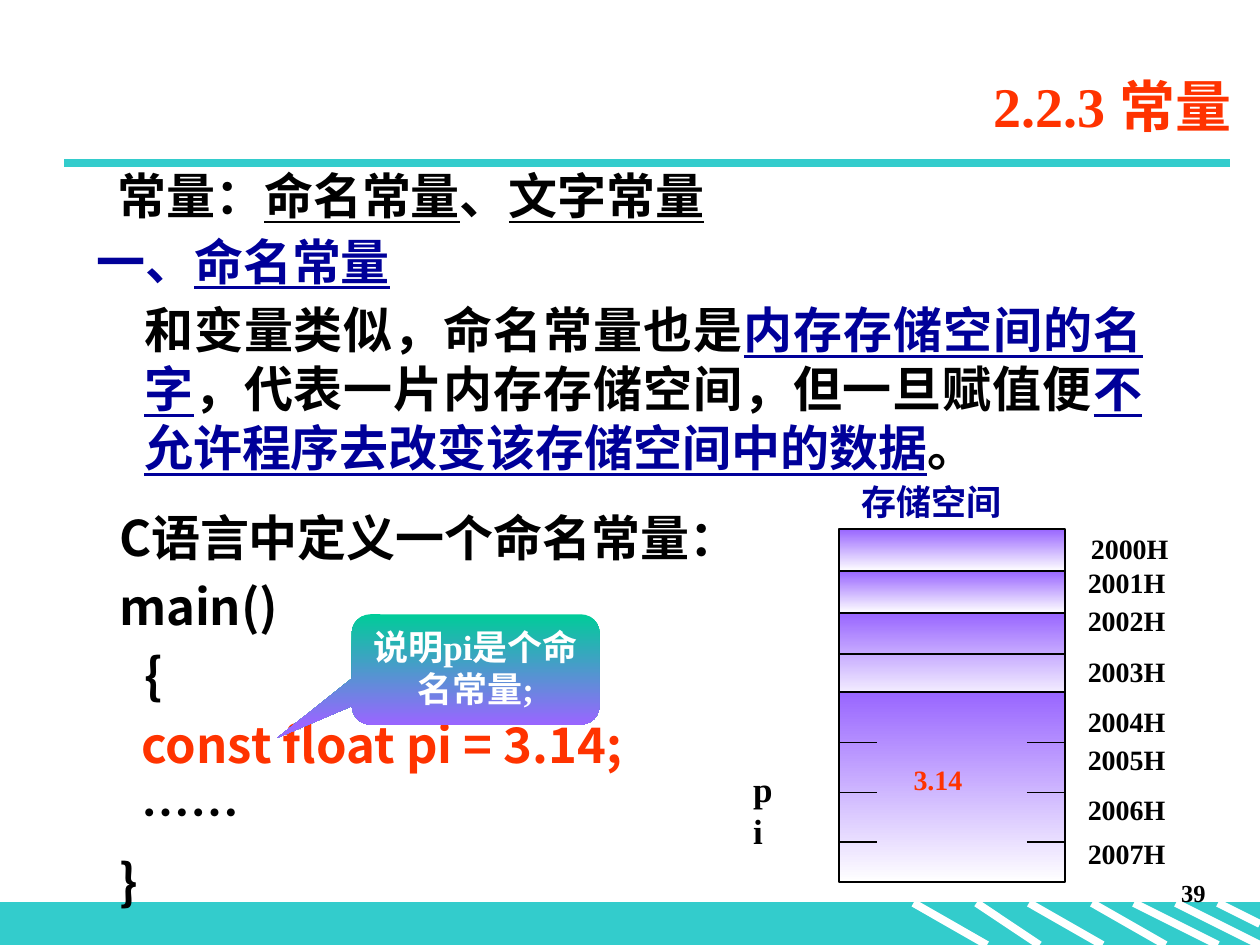
from lxml import etree
from pptx import Presentation
from pptx import util as u
from pptx.dml.color import RGBColor
from pptx.enum import shapes, text
from pptx.oxml import ns

BLACK = RGBColor(0, 0, 0)
WHITE = RGBColor(255, 255, 255)
TEAL = RGBColor(0x33, 0xCC, 0xCC)
NAVY = RGBColor(0, 0, 0x99)
RED = RGBColor(0xFF, 0x33, 0)
VIOLET = RGBColor(0x99, 0x66, 0xFF)
GREEN = RGBColor(0, 0xCC, 0x99)
SERIF = "Times New Roman"
SANS = "Noto Sans CJK SC"
COLUMNS, ROWS = 120, 90
LEFT, RIGHT = text.PP_ALIGN.LEFT, text.PP_ALIGN.RIGHT
CENTER, JUSTIFY = text.PP_ALIGN.CENTER, text.PP_ALIGN.JUSTIFY


def cells(*counts):
    """Turn counts of grid cells into lengths."""
    return [u.Inches(count * 10 / COLUMNS) for count in counts]


def write(paragraph, runs, size, color=BLACK, font=SERIF, align=LEFT, before=0):
    """Fill a paragraph with (wording, colour, underlined) runs or one plain string."""
    paragraph.alignment = align
    paragraph.space_before = u.Pt(before)
    paragraph.font.name, paragraph.font.size = font, u.Pt(size)
    paragraph.font.bold = True
    paragraph.font.color.rgb = color
    if isinstance(runs, str):
        runs = [(runs, color, False)]
    for wording, run_color, underlined in runs:
        run = paragraph.add_run()
        run.text = wording
        if run_color != color:
            run.font.color.rgb = run_color
        if underlined:
            run.font.underline = True


def add_text(slide, box, runs=None, size=16, inset=0.0, wrap=True, **style):
    """Add a text box and return its frame."""
    frame = slide.shapes.add_textbox(*cells(*box)).text_frame
    frame.word_wrap = wrap
    frame.margin_left = frame.margin_right = u.Inches(inset)
    frame.margin_top = frame.margin_bottom = u.Inches(inset / 2)
    if runs:
        write(frame.paragraphs[0], runs, size, **style)
    return frame


def add_line(slide, start, end, color, weight):
    """Draw a straight line without a shadow."""
    line = slide.shapes.add_connector(shapes.MSO_CONNECTOR.STRAIGHT, *cells(*start, *end))
    line.line.color.rgb, line.line.width = color, u.Pt(weight)
    etree.SubElement(line._element.spPr, ns.qn("a:effectLst"))


def add_gradient_shape(slide, kind, box, top_color, bottom_color):
    """Add a shape shaded from top to bottom."""
    shape = slide.shapes.add_shape(kind, *cells(*box))
    shape.shadow.inherit = False
    shape.fill.gradient()
    shape.fill.gradient_angle = 270
    for stop, color in zip(shape.fill.gradient_stops, (top_color, bottom_color)):
        stop.color.rgb = color
    return shape


def add_footer(slide, box):
    """Draw the striped band and the page number above it."""
    left, top, width, height = box
    band = slide.shapes.add_shape(shapes.MSO_SHAPE.RECTANGLE, *cells(*box))
    band.shadow.inherit = False
    band.fill.solid()
    band.fill.fore_color.rgb = band.line.color.rgb = TEAL
    band.line.width = u.Pt(0.75)
    stripes = [(87, 94, 4), (93, 99, 4), (98, 105, 4), (104, 111, 4),
               (108, 116, 4), (112, 120, 4), (116, 120, 2)]
    for start, end, drop in stripes:
        add_line(slide, (left + start, top), (left + end, top + drop), WHITE, 4.5)
    add_text(slide, (left + width - 29, top - 3, 25, 6), "39", 14, inset=0.1, align=RIGHT)


def add_heading(slide, box):
    """Place the title and the rule under it."""
    left, top, width, height = box
    title = slide.shapes.title
    title.left, title.top, title.width, title.height = cells(*box)
    title.text_frame.vertical_anchor = text.MSO_ANCHOR.MIDDLE
    write(title.text_frame.paragraphs[0], "2.2.3 常量", 32, RED, align=RIGHT)
    rule = top + height + 0.7
    add_line(slide, (6.1, rule), (117.1, rule), TEAL, 4.5)


def add_body(slide, box):
    """Write the explanation and the code sample."""
    frame = add_text(slide, box, inset=0.1)
    explanation = [("和变量类似，命名常量也是", BLACK, False),
                   ("内存存储空间的名字", NAVY, True),
                   ("，代表一片内存存储空间，但一旦赋值便", BLACK, False),
                   ("不允许程序去改变该存储空间中的数据", NAVY, True),
                   ("。", BLACK, False)]
    lines = [([("一、", NAVY, False), ("命名常量", NAVY, True)], NAVY, 0, 5.6),
             (explanation, BLACK, 0.38, 5.6),
             ("C语言中定义一个命名常量：", BLACK, 0.18, 17.6),
             ("main()", BLACK, 0.18, 5.6),
             ("{", BLACK, 0.38, 5.6),
             ("const float pi = 3.14;", RED, 0.36, 5.6),
             ("……", BLACK, 0.36, 5.6),
             ("}", BLACK, 0.18, 5.6)]
    for index, (runs, color, indent, before) in enumerate(lines):
        paragraph = frame.add_paragraph() if index else frame.paragraphs[0]
        write(paragraph, runs, 28, color, SANS, JUSTIFY, before)
        paragraph.line_spacing = u.Pt(33.7)
        properties = paragraph._p.get_or_add_pPr()
        properties.set("marL", str(u.Inches(indent)))
        properties.set("indent", "0")


def add_memory(slide, box):
    """Draw the memory cells with their addresses and stored value."""
    left, top, width, height = box
    for row, rows in ((0, 4), (4, 4), (8, 8.6), (15.5, height - 15.5)):
        band = add_gradient_shape(slide, shapes.MSO_SHAPE.RECTANGLE,
                                  (left, top + row, width, rows), VIOLET, WHITE)
        band.line.color.rgb, band.line.width = BLACK, u.Pt(1.25)
    address_rows = (0.24, 3.5, 7.1, 11.9, 16.7, 20.3, 25.1, 29.3)
    for number, row in enumerate(address_rows):
        nudge = 0 if number else 0.3
        add_text(slide, (left + width + 2.2 + nudge, top + row, 7.5, 3.2),
                 f"200{number}H", wrap=False)
    add_line(slide, (left, top + 11.9), (left + width, top + 11.9), BLACK, 0.75)
    for row in (20.3, 25.1, 29.8):
        for tick in (left, left + width - 3.6):
            add_line(slide, (tick, top + row), (tick + 3.6, top + row), BLACK, 0.75)
    add_text(slide, (left + 7.1, top + 22.2, 4.7, 3.2), "3.14", wrap=False, color=RED)
    add_text(slide, (left + 1, top - 5.2, 29.4, 5.2), "存储空间", 20, inset=0.1, color=NAVY)
    add_text(slide, (left - 8.16, top + 22.7, 2.2, 8), "pi", 20)


def add_callout(slide, box):
    """Add the speech bubble pointing at the declaration."""
    callout = add_gradient_shape(slide, shapes.MSO_SHAPE.ROUNDED_RECTANGULAR_CALLOUT,
                                 box, GREEN, VIOLET)
    callout.line.fill.background()
    for index, value in enumerate((-0.8, 0.62, 0.17)):
        callout.adjustments[index] = value
    frame = callout.text_frame
    frame.word_wrap = True
    frame.vertical_anchor = text.MSO_ANCHOR.TOP
    write(frame.paragraphs[0], "说明pi是个命名常量;", 20, WHITE, align=CENTER, before=4)


def main():
    """Build the slide and save it."""
    presentation = Presentation()
    presentation.slide_width, presentation.slide_height = cells(COLUMNS, ROWS)
    slide = presentation.slides.add_slide(presentation.slide_layouts[5])
    add_footer(slide, (0, 86, COLUMNS, 4))
    add_heading(slide, (16.5, 5.3, 102, 9.5))
    add_body(slide, (8, 21.4, 102, 63))
    add_memory(slide, (79.9, 50.4, 21.5, 33.6))
    add_callout(slide, (33.5, 58.5, 23.6, 10.5))
    intro = [("常量：", BLACK, False), ("命名常量", BLACK, True),
             ("、", BLACK, False), ("文字常量", BLACK, True)]
    add_text(slide, (10, 15.2, 98, 6.8), intro, 28, inset=0.1, align=JUSTIFY)
    presentation.save("out.pptx")


if __name__ == "__main__":
    main()
